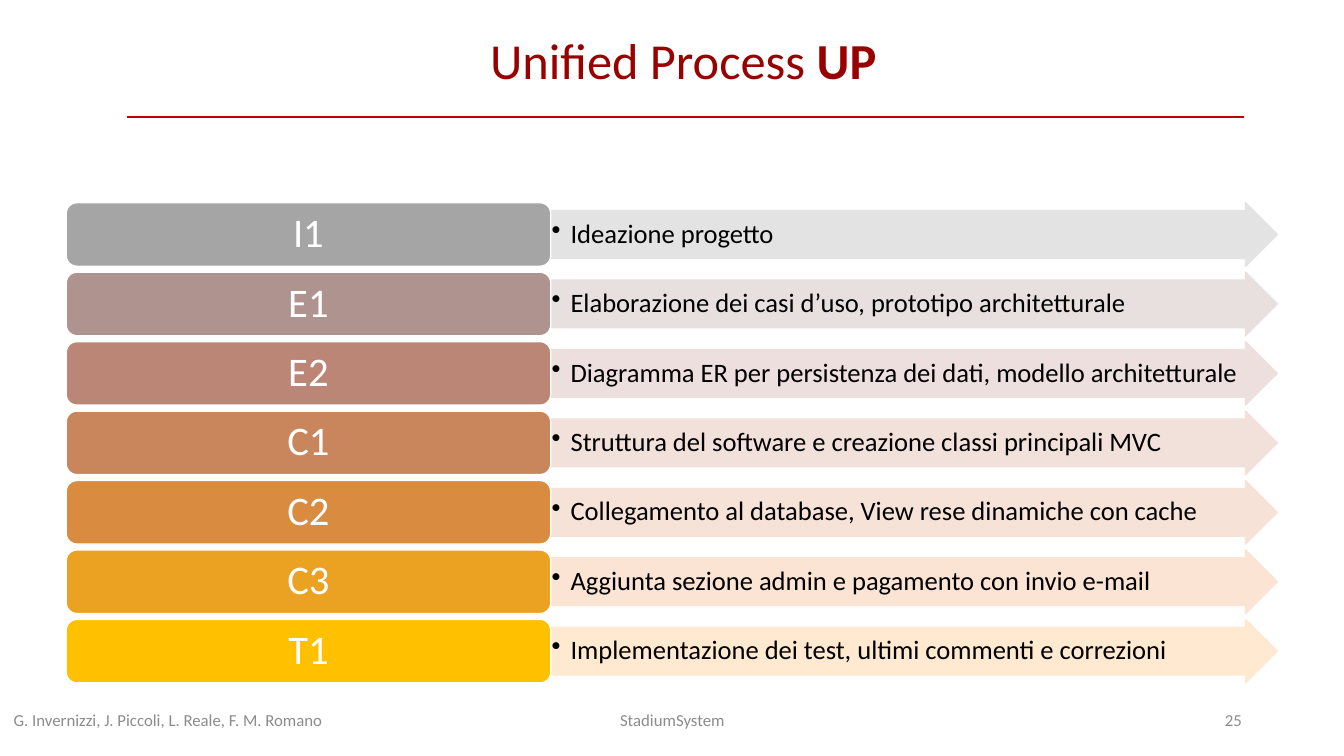
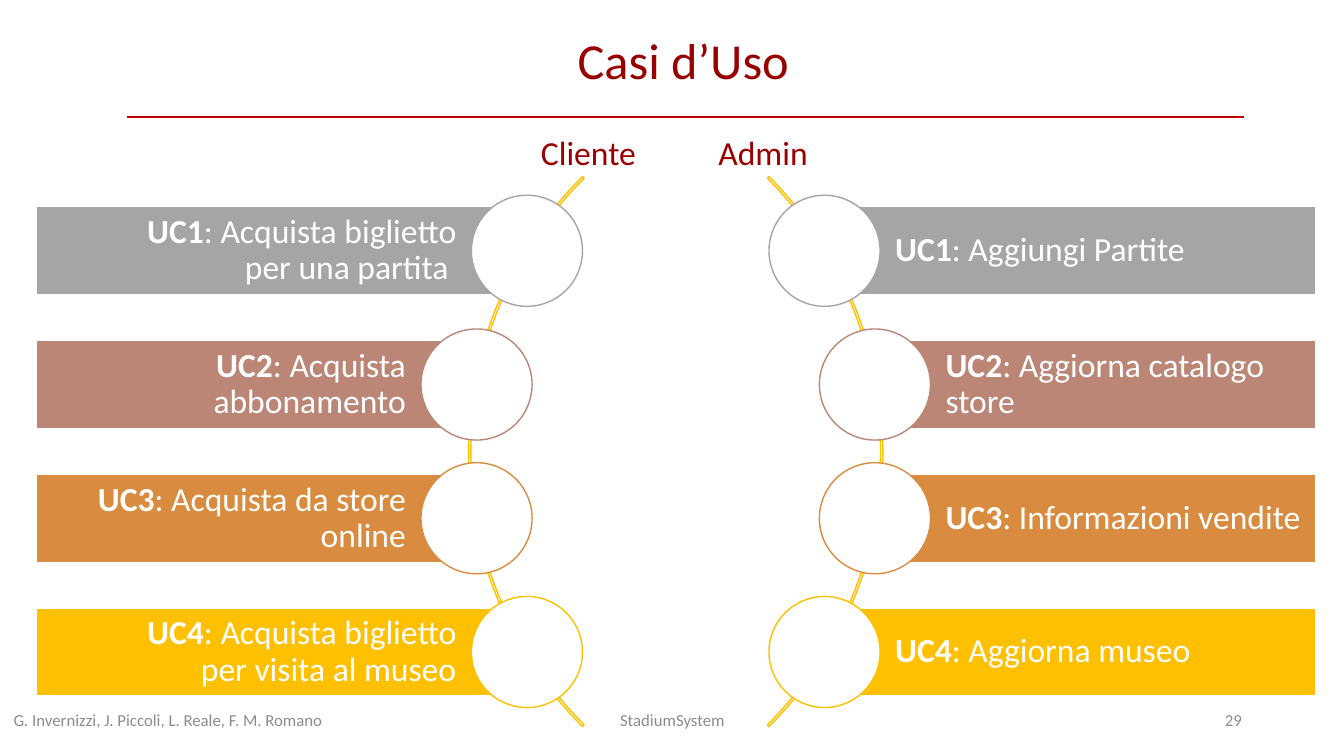
"""Build the Unified Process and use case slides of the StadiumSystem deck."""
from lxml.etree import SubElement
from pptx import Presentation
from pptx.dml.color import RGBColor
from pptx.enum.shapes import MSO_CONNECTOR, MSO_SHAPE
from pptx.enum.text import MSO_ANCHOR, PP_ALIGN
from pptx.oxml.ns import qn
from pptx.util import Cm, Pt

FONT = "Calibri"
WHITE = RGBColor(0xFF, 0xFF, 0xFF)
BLACK = RGBColor(0x00, 0x00, 0x00)
TITLE_RED = RGBColor(0x99, 0x00, 0x00)
RULE_RED = RGBColor(0xC0, 0x00, 0x00)
FOOTER_GREY = RGBColor(0x8C, 0x8C, 0x8C)
GREY = RGBColor(0xA5, 0xA5, 0xA5)
MAUVE = RGBColor(0xAF, 0x93, 0x8F)
ROSE = RGBColor(0xBB, 0x86, 0x76)
COPPER = RGBColor(0xC9, 0x86, 0x5C)
ORANGE = RGBColor(0xD9, 0x8C, 0x3F)
AMBER = RGBColor(0xEB, 0xA1, 0x21)
GOLD = RGBColor(0xFF, 0xC0, 0x00)
PALE_GREY = RGBColor(0xE3, 0xE3, 0xE3)
PALE_MAUVE = RGBColor(0xE8, 0xE0, 0xDF)
PALE_ROSE = RGBColor(0xED, 0xDF, 0xDD)
PALE_COPPER = RGBColor(0xF2, 0xE0, 0xDA)
PALE_ORANGE = RGBColor(0xF6, 0xE2, 0xD7)
PALE_AMBER = RGBColor(0xFB, 0xE4, 0xD4)
PALE_GOLD = RGBColor(0xFF, 0xE9, 0xD0)


def draw(slide, preset, left, top, width, height, fill, outline):
    shape = slide.shapes.add_shape(preset, Cm(left), Cm(top), Cm(width), Cm(height))
    shape.shadow.inherit = False
    if fill is None:
        shape.fill.background()
    else:
        shape.fill.solid()
        shape.fill.fore_color.rgb = fill
    shape.line.color.rgb = outline
    shape.line.width = Pt(1)
    return shape


def write(shape, runs, size, color, align, margins=(0, 0, 0, 0), bullet=False):
    frame = shape.text_frame
    frame.word_wrap = True
    frame.vertical_anchor = MSO_ANCHOR.MIDDLE
    frame.margin_left, frame.margin_top, frame.margin_right, frame.margin_bottom = map(Cm, margins)
    paragraph = frame.paragraphs[0]
    if bullet:
        properties = paragraph._p.get_or_add_pPr()
        properties.set("marL", str(Cm(0.48)))
        properties.set("indent", str(-Cm(0.48)))
        SubElement(properties, qn("a:buChar")).set("char", "•")
    paragraph.alignment = align
    paragraph.line_spacing = 0.9
    for text, bold in runs:
        run = paragraph.add_run()
        run.text = text
        run.font.name = FONT
        run.font.size = Pt(size)
        run.font.bold = bold
        run.font.color.rgb = color


deck = Presentation()
deck.slide_width, deck.slide_height = Cm(33.87), Cm(19.05)

titles = [
    ([("Unified Process ", False), ("UP", True)], "25"),
    ([("Casi d’Uso", False)], "29"),
]
for title, number in titles:
    slide = deck.slides.add_slide(deck.slide_layouts[6])
    rule = slide.shapes.add_connector(MSO_CONNECTOR.STRAIGHT, Cm(3.2), Cm(2.95), Cm(31.34), Cm(2.95))
    rule.line.color.rgb = RULE_RED
    rule.line.width = Pt(1.5)
    SubElement(rule._element.spPr, qn("a:effectLst"))
    heading = slide.shapes.add_textbox(Cm(3.58), Cm(0.8), Cm(27.28), Cm(1.6))
    write(heading, title, 36, TITLE_RED, PP_ALIGN.CENTER)
    footers = [
        (0, 8.48, "G. Invernizzi, J. Piccoli, L. Reale, F. M. Romano", PP_ALIGN.CENTER),
        (11.23, 11.43, "StadiumSystem", PP_ALIGN.CENTER),
        (23.93, 7.37, number, PP_ALIGN.RIGHT),
    ]
    for left, width, text, align in footers:
        footer = slide.shapes.add_textbox(Cm(left), Cm(17.65), Cm(width), Cm(1.02))
        write(footer, [(text, False)], 12, FOOTER_GREY, align)

process, use_cases = deck.slides

iterations = [
    ("I1", "Ideazione progetto", GREY, PALE_GREY),
    ("E1", "Elaborazione dei casi d’uso, prototipo architetturale", MAUVE, PALE_MAUVE),
    ("E2", "Diagramma ER per persistenza dei dati, modello architetturale", ROSE, PALE_ROSE),
    ("C1", "Struttura del software e creazione classi principali MVC", COPPER, PALE_COPPER),
    ("C2", "Collegamento al database, View rese dinamiche con cache", ORANGE, PALE_ORANGE),
    ("C3", "Aggiunta sezione admin e pagamento con invio e-mail", AMBER, PALE_AMBER),
    ("T1", "Implementazione dei test, ultimi commenti e correzioni", GOLD, PALE_GOLD),
]
for row, (phase, activity, color, tint) in enumerate(iterations):
    top = 5.11 + row * 1.75
    arrow = draw(process, MSO_SHAPE.RIGHT_ARROW, 13.87, top, 18.32, 1.6, tint, tint)
    arrow.adjustments[0] = 0.75
    write(arrow, [(activity, False)], 19, BLACK, PP_ALIGN.LEFT, (0.03, 0.03, 0.03, 0.03), bullet=True)
    label = draw(process, MSO_SHAPE.ROUNDED_RECTANGLE, 1.67, top, 12.21, 1.6, color, WHITE)
    write(label, [(phase, False)], 29, WHITE, PP_ALIGN.CENTER)

AXIS = 17.03
ARC_SIZE = 19.6
CIRCLE_SIZE = 2.8
BAR_HEIGHT = 2.22
BAR_END = 16.12
TEXT_WIDTH = 8.6
case_colors = [GREY, ROSE, ORANGE, GOLD]
circle_offsets = [3.75, 5.02, 5.02, 3.75]
actors = [
    ("Admin", 1, (189, 27), ["Aggiungi Partite", "Aggiorna catalogo store",
                             "Informazioni vendite", "Aggiorna museo"]),
    ("Cliente", -1, (81, 135), ["Acquista biglietto per una partita ", "Acquista abbonamento",
                                "Acquista da store online", "Acquista biglietto per visita al museo"]),
]
for actor, side, angles, cases in actors:
    arc = draw(use_cases, MSO_SHAPE.BLOCK_ARC, AXIS - side * 4.58 - ARC_SIZE / 2, 1.58,
               ARC_SIZE, ARC_SIZE, None, GOLD)
    arc.adjustments[0], arc.adjustments[1] = angles
    arc.adjustments[2] = 0.003
    for row, (case, color, offset) in enumerate(zip(cases, case_colors, circle_offsets)):
        top = 5.21 + row * 3.37
        center = AXIS + side * offset
        width = BAR_END - offset
        if side > 0:
            left, align, margins = center, PP_ALIGN.LEFT, (1.78, 0.18, 0.18, 0.18)
        else:
            left, align = center - width, PP_ALIGN.RIGHT
            margins = (width - 1.78 - TEXT_WIDTH, 0.18, 1.78, 0.18)
        bar = draw(use_cases, MSO_SHAPE.RECTANGLE, left, top, width, BAR_HEIGHT, color, WHITE)
        write(bar, [(f"UC{row + 1}", True), (f": {case}", False)], 24, WHITE, align, margins)
        draw(use_cases, MSO_SHAPE.OVAL, center - CIRCLE_SIZE / 2, top + (BAR_HEIGHT - CIRCLE_SIZE) / 2,
             CIRCLE_SIZE, CIRCLE_SIZE, WHITE, color)
    name = use_cases.shapes.add_textbox(Cm(AXIS + side * 2.2 - 1.5), Cm(3.4), Cm(3), Cm(1))
    write(name, [(actor, False)], 24, TITLE_RED, PP_ALIGN.CENTER)

deck.save("out.pptx")
